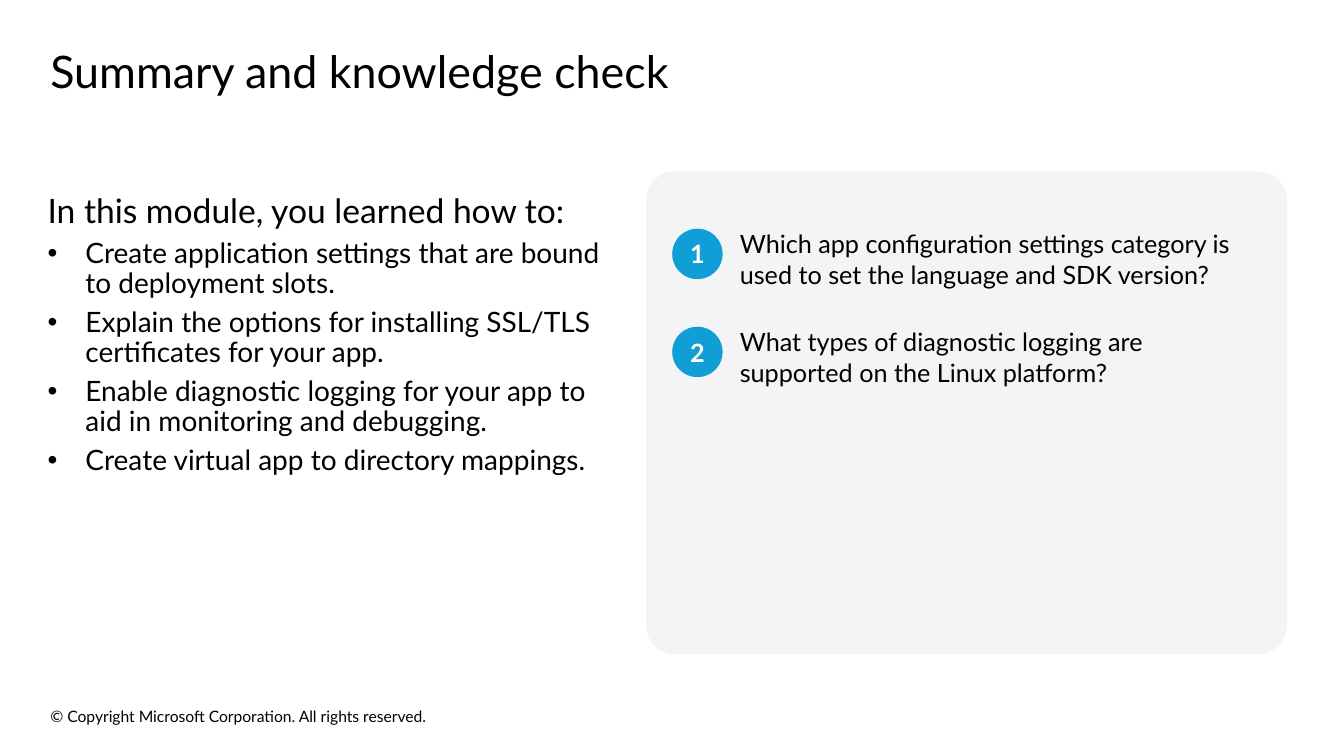
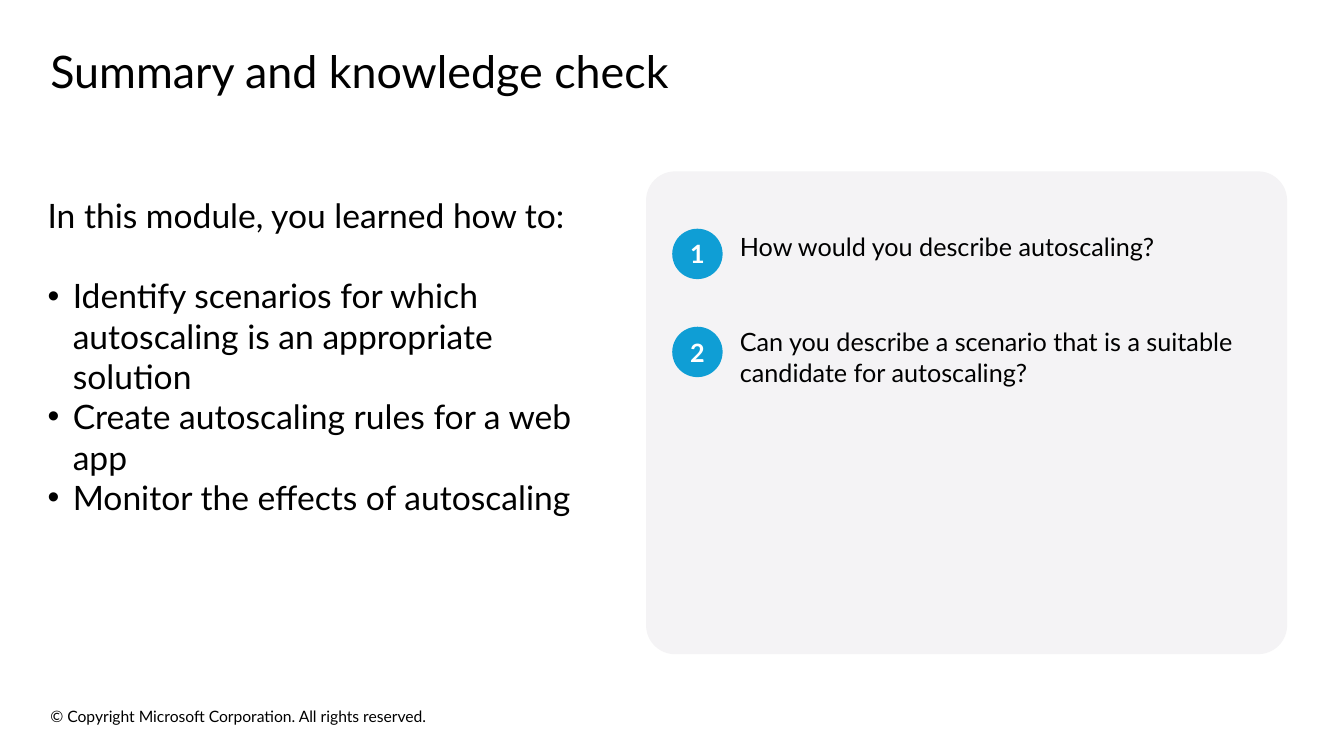
from dataclasses import dataclass
import lxml.etree
import pptx
import pptx.dml.color
import pptx.enum.shapes
import pptx.enum.text
import pptx.oxml.ns
import pptx.util

Pt = pptx.util.Pt
Shape = pptx.enum.shapes.MSO_SHAPE
Align = pptx.enum.text.PP_ALIGN
Anchor = pptx.enum.text.MSO_ANCHOR
FONT = "Lato"
BLACK, WHITE, BLUE, GREY = "000000", "FFFFFF", "0F9ED5", "F4F3F5"
TITLE = "Summary and knowledge check"
LEAD = "In this module, you learned how to:"
FOOTER = "© Copyright Microsoft Corporation. All rights reserved."
FIRST, PITCH = 163.4, 70


@dataclass
class Box:
    """Position and size in points."""
    left: float
    top: float
    width: float
    height: float

    def args(self) -> list:
        """Return the four lengths for python-pptx."""
        return [Pt(v) for v in (self.left, self.top, self.width, self.height)]


@dataclass
class Style:
    """Text and paragraph settings."""
    size: float
    color: str = BLACK
    bold: bool = False
    align: Align = Align.LEFT
    line: float = 1.0
    after: float = 0


@dataclass
class Query:
    """A question and its offset below the row top."""
    text: str
    drop: float = 0


@dataclass
class Page:
    """What differs from one slide to the next."""
    goals: list[str]
    queries: list[Query]
    lead: Style
    goal: Style
    indent: float


PAGES = [
    Page(
        ["Create application settings that are bound to deployment slots.",
         "Explain the options for installing SSL/TLS certificates for your app.",
         "Enable diagnostic logging for your app to aid in monitoring and debugging.",
         "Create virtual app to directory mappings."],
        [Query("Which app configuration settings category is used to set the language and SDK version?"),
         Query("What types of diagnostic logging are supported on the Linux platform?")],
        Style(24, line=0.9, after=6), Style(20, line=0.9, after=6), 27),
    Page(
        ["Identify scenarios for which autoscaling is an appropriate solution",
         "Create autoscaling rules for a web app",
         "Monitor the effects of autoscaling"],
        [Query("How would you describe autoscaling?", 2),
         Query("Can you describe a scenario that is a suitable candidate for autoscaling?")],
        Style(24, after=28.8), Style(24), 18),
]


def rgb(code: str) -> pptx.dml.color.RGBColor:
    """Turn a hex string into a colour."""
    return pptx.dml.color.RGBColor.from_string(code)


def write(para, text: str, style: Style) -> None:
    """Fill one paragraph with styled text."""
    para.text = text
    para.alignment = style.align
    para.line_spacing = style.line
    para.space_before = Pt(0)
    para.space_after = Pt(style.after)
    font = para.font
    font.name, font.size, font.bold = FONT, Pt(style.size), style.bold
    font.color.rgb = rgb(style.color)


def bullet(para, indent: float, mark: str = "") -> None:
    """Give a paragraph a hanging bullet, or none."""
    props = para._p.get_or_add_pPr()
    props.set("marL", str(Pt(indent)))
    props.set("indent", str(-Pt(indent)))
    tag = pptx.oxml.ns.qn("a:buChar" if mark else "a:buNone")
    item = lxml.etree.SubElement(props, tag)
    if mark:
        item.set("char", mark)


def setup(frame, anchor: Anchor = Anchor.TOP) -> None:
    """Make a text frame wrap without margins."""
    frame.word_wrap = True
    frame.auto_size = pptx.enum.text.MSO_AUTO_SIZE.NONE
    frame.vertical_anchor = anchor
    frame.margin_left = frame.margin_right = Pt(0)
    frame.margin_top = frame.margin_bottom = Pt(0)


def place(shape, box: Box) -> None:
    """Move and size a placeholder."""
    shape.left, shape.top, shape.width, shape.height = box.args()


def label(slide, box: Box, text: str, style: Style) -> None:
    """Add a plain text box."""
    frame = slide.shapes.add_textbox(*box.args()).text_frame
    setup(frame)
    write(frame.paragraphs[0], text, style)


def solid(slide, kind: Shape, box: Box, fill: str):
    """Add a filled shape without line or shadow."""
    shape = slide.shapes.add_shape(kind, *box.args())
    shape.shadow.inherit = False
    shape.fill.solid()
    shape.fill.fore_color.rgb = rgb(fill)
    shape.line.fill.background()
    return shape


def frame_up(slide) -> None:
    """Draw the title, footer and panel that all slides share."""
    title = slide.shapes.title
    place(title, Box(36, 32.4, 883.4, 40.3))
    setup(title.text_frame, Anchor.MIDDLE)
    write(title.text_frame.paragraphs[0], TITLE, Style(32, line=0.9))
    label(slide, Box(36, 504.7, 292.3, 13.7), FOOTER, Style(11.2))
    panel = solid(slide, Shape.ROUNDED_RECTANGLE, Box(461.5, 122.4, 457.9, 344.9), GREY)
    panel.adjustments[0] = 0.06


def learned(slide, page: Page) -> None:
    """Fill the body placeholder with the goals."""
    body = slide.placeholders[1]
    place(body, Box(34, 139, 395.3, 296))
    frame = body.text_frame
    setup(frame)
    lead = frame.paragraphs[0]
    bullet(lead, 0)
    write(lead, LEAD, page.lead)
    for goal in page.goals:
        para = frame.add_paragraph()
        bullet(para, page.indent, "•")
        write(para, goal, page.goal)


def ask(slide, row: int, query: Query) -> None:
    """Draw one numbered question."""
    top = FIRST + row * PITCH
    disc = solid(slide, Shape.OVAL, Box(480.2, top, 36, 36), BLUE)
    disc.text_frame.vertical_anchor = Anchor.MIDDLE
    write(disc.text_frame.paragraphs[0], str(row + 1),
          Style(18, WHITE, True, Align.CENTER))
    label(slide, Box(528.5, top + query.drop, 368, 57), query.text, Style(18, after=6))


def main() -> None:
    """Build and save the slides."""
    deck = pptx.Presentation()
    deck.slide_width, deck.slide_height = Pt(960), Pt(540)
    for page in PAGES:
        slide = deck.slides.add_slide(deck.slide_layouts[1])
        frame_up(slide)
        learned(slide, page)
        for row, query in enumerate(page.queries):
            ask(slide, row, query)
    deck.save("out.pptx")


if __name__ == "__main__":
    main()
